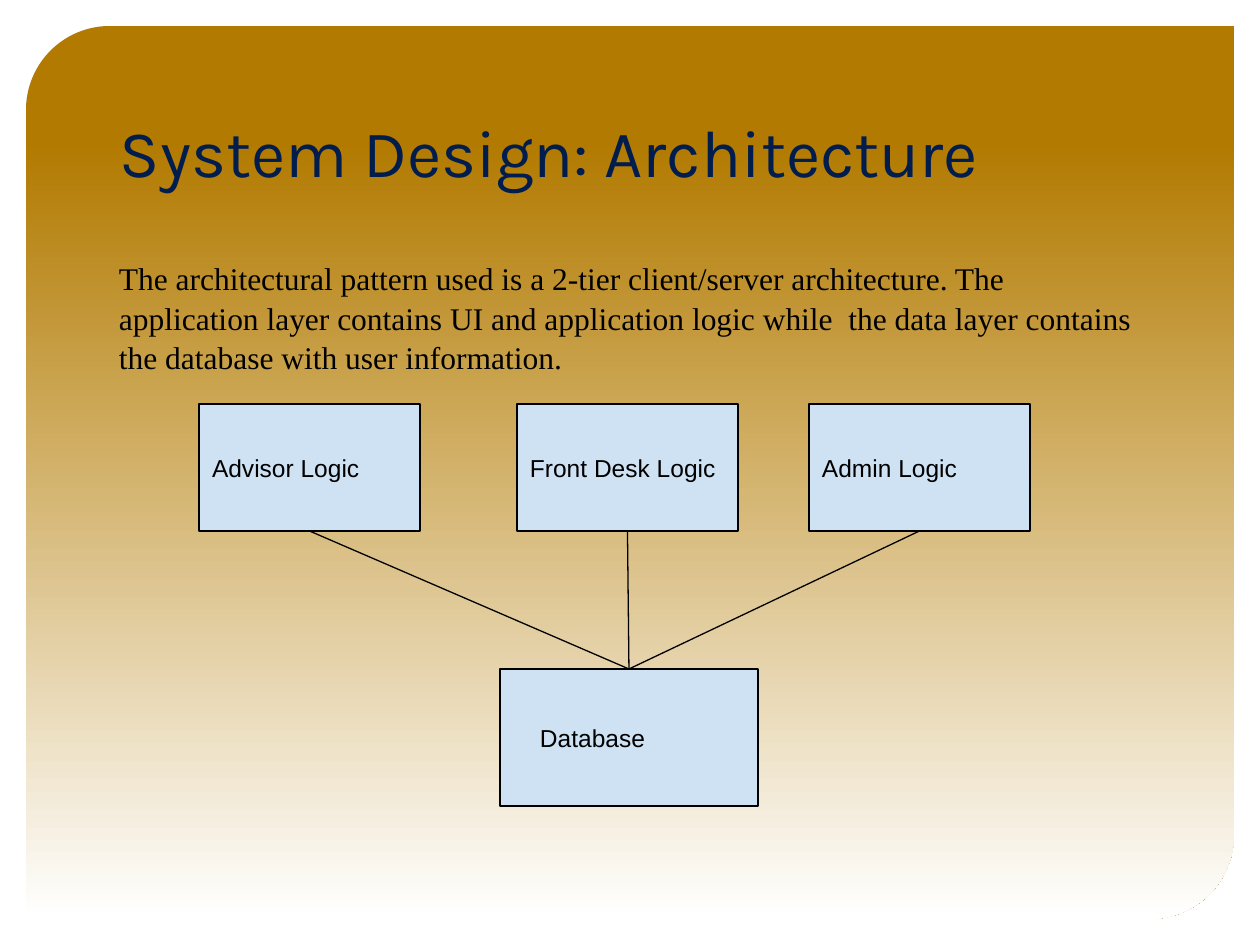
from copy import deepcopy

from pptx import Presentation
from pptx.dml.color import RGBColor
from pptx.enum.shapes import MSO_CONNECTOR, MSO_SHAPE
from pptx.enum.text import MSO_ANCHOR as Anchor, MSO_AUTO_SIZE, PP_ALIGN
from pptx.oxml.ns import qn
from pptx.util import Pt
from lxml.etree import SubElement

EMU_PER_PX = 914400 / 126

AMBER = RGBColor(0xB2, 0x7A, 0x00)
WHITE = RGBColor(0xFF, 0xFF, 0xFF)
NAVY = RGBColor(0x00, 0x1D, 0x4D)
BLACK = RGBColor(0x00, 0x00, 0x00)
PALE_BLUE = RGBColor(0xCF, 0xE2, 0xF3)


def px(*lengths):
    return [round(length * EMU_PER_PX) for length in lengths]


class ArchitectureSlide:
    line_width = Pt(0.75)
    inset = 13

    def __init__(self, presentation):
        self.slide = presentation.slides.add_slide(presentation.slide_layouts[5])
        self.shapes = self.slide.shapes

    def set_text(self, shape, text, font, size, color, anchor, insets, spacing=1.0):
        frame = shape.text_frame
        frame.word_wrap = True
        frame.auto_size = MSO_AUTO_SIZE.NONE
        frame.vertical_anchor = anchor
        (frame.margin_left, frame.margin_top,
         frame.margin_right, frame.margin_bottom) = px(*insets)
        paragraph = frame.paragraphs[0]
        paragraph.alignment = PP_ALIGN.LEFT
        paragraph.line_spacing = spacing
        run = paragraph.add_run()
        run.text = text
        run.font.name = font
        run.font.size = Pt(size)
        run.font.color.rgb = color

    def panel(self, left, top, width, height, stops):
        """Rounded backdrop with a gradient running from top to bottom."""
        shape = self.shapes.add_shape(MSO_SHAPE.ROUND_2_DIAG_RECTANGLE,
                                      *px(left, top, width, height))
        shape.shadow.inherit = False
        shape.adjustments[0] = 0.094
        shape.adjustments[1] = 0
        shape.line.fill.background()
        shape.fill.gradient()
        shape.fill.gradient_angle = 270
        stop_list = shape._element.spPr.find(qn("a:gradFill")).find(qn("a:gsLst"))
        stop_list.append(deepcopy(stop_list[-1]))
        for stop, (position, color) in zip(shape.fill.gradient_stops, stops):
            stop.position = position
            stop.color.rgb = color
        self.shapes._spTree.insert(2, shape._element)

    def title(self, left, top, width, height, text):
        title = self.shapes.title
        title.left, title.top, title.width, title.height = px(left, top, width, height)
        self.set_text(title, text, "Karla", 38, NAVY, Anchor.BOTTOM, (self.inset, 6) * 2)

    def body(self, left, top, width, height, text):
        box = self.shapes.add_textbox(*px(left, top, width, height))
        self.set_text(box, text, "Times New Roman", 18, BLACK, Anchor.TOP,
                      (self.inset, 6) * 2, spacing=1.05)

    def box(self, left, top, width, height, text, left_inset=inset):
        shape = self.shapes.add_shape(MSO_SHAPE.RECTANGLE, *px(left, top, width, height))
        shape.shadow.inherit = False
        shape.fill.solid()
        shape.fill.fore_color.rgb = PALE_BLUE
        shape.line.color.rgb = BLACK
        shape.line.width = self.line_width
        self.set_text(shape, text, "Arial", 14, BLACK, Anchor.MIDDLE,
                      (left_inset, self.inset, self.inset, self.inset))
        return shape

    def link(self, upper, lower):
        """Line from the bottom centre of one box to the top centre of another."""
        line = self.shapes.add_connector(MSO_CONNECTOR.STRAIGHT, 0, 0, 0, 0)
        line.begin_connect(upper, 2)
        line.end_connect(lower, 0)
        line.line.color.rgb = BLACK
        line.line.width = self.line_width
        SubElement(line._element.spPr, qn("a:effectLst"))


def main():
    presentation = Presentation()
    presentation.slide_width, presentation.slide_height = px(1260, 945)
    slide = ArchitectureSlide(presentation)

    # Backdrop and text
    slide.panel(26, 26, 1208, 893, [(0, AMBER), (0.13, AMBER), (1, WHITE)])
    slide.title(107, 53, 1045, 144, "System Design: Architecture")
    slide.body(106, 251, 1045, 580,
               "The architectural pattern used is a 2-tier client/server architecture. "
               "The application layer contains UI and application logic while  the data "
               "layer contains the database with user information.")

    # Application tier
    tier = [(199, "Advisor Logic"), (809, "Admin Logic"), (517, "Front Desk Logic")]
    logic_boxes = [slide.box(left, 404, 221, 127, text) for left, text in tier]

    # Data tier, linked to every logic box
    database = slide.box(500, 669, 258, 137, "Database", left_inset=40)
    for logic_box in logic_boxes:
        slide.link(logic_box, database)

    presentation.save("out.pptx")


if __name__ == "__main__":
    main()
